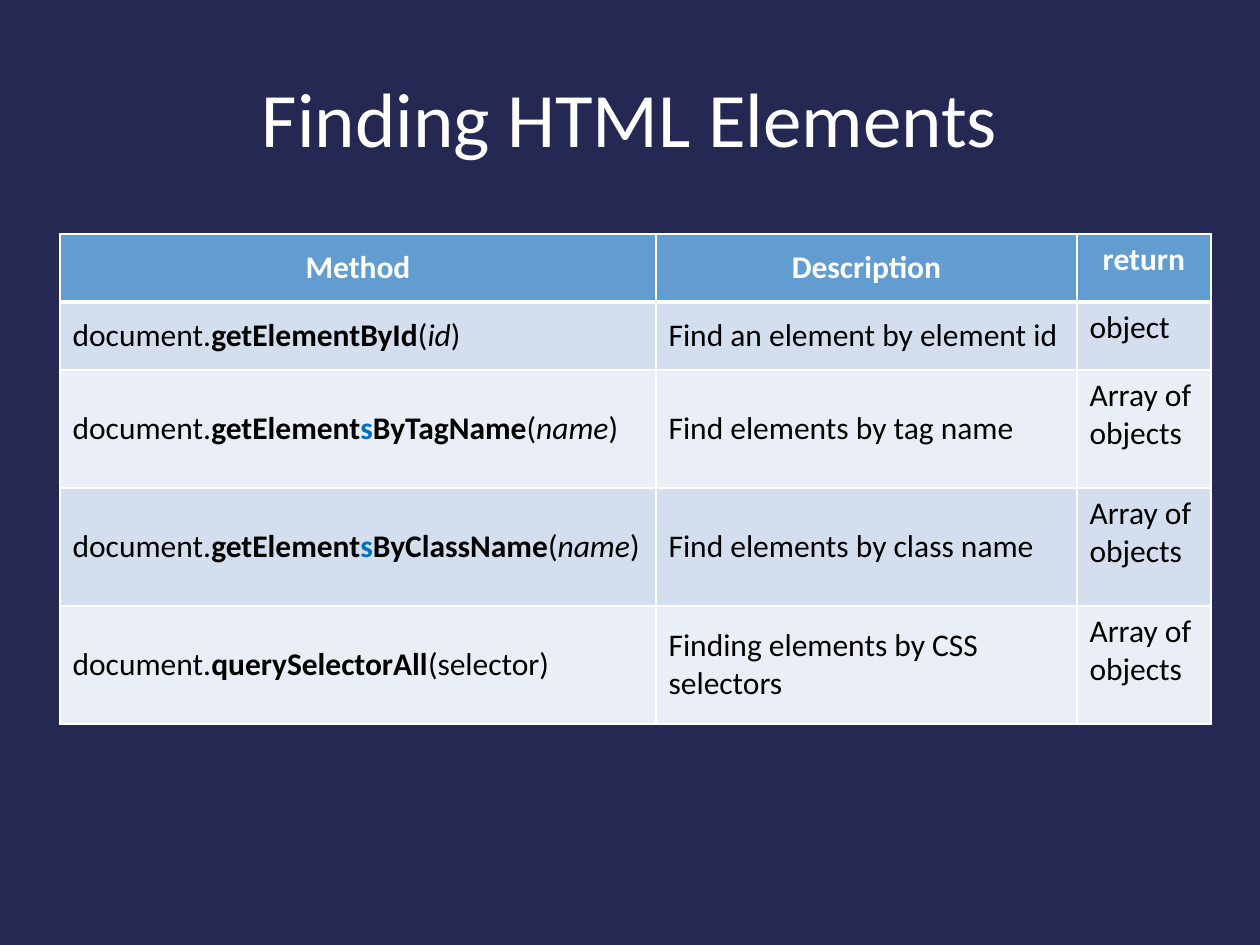
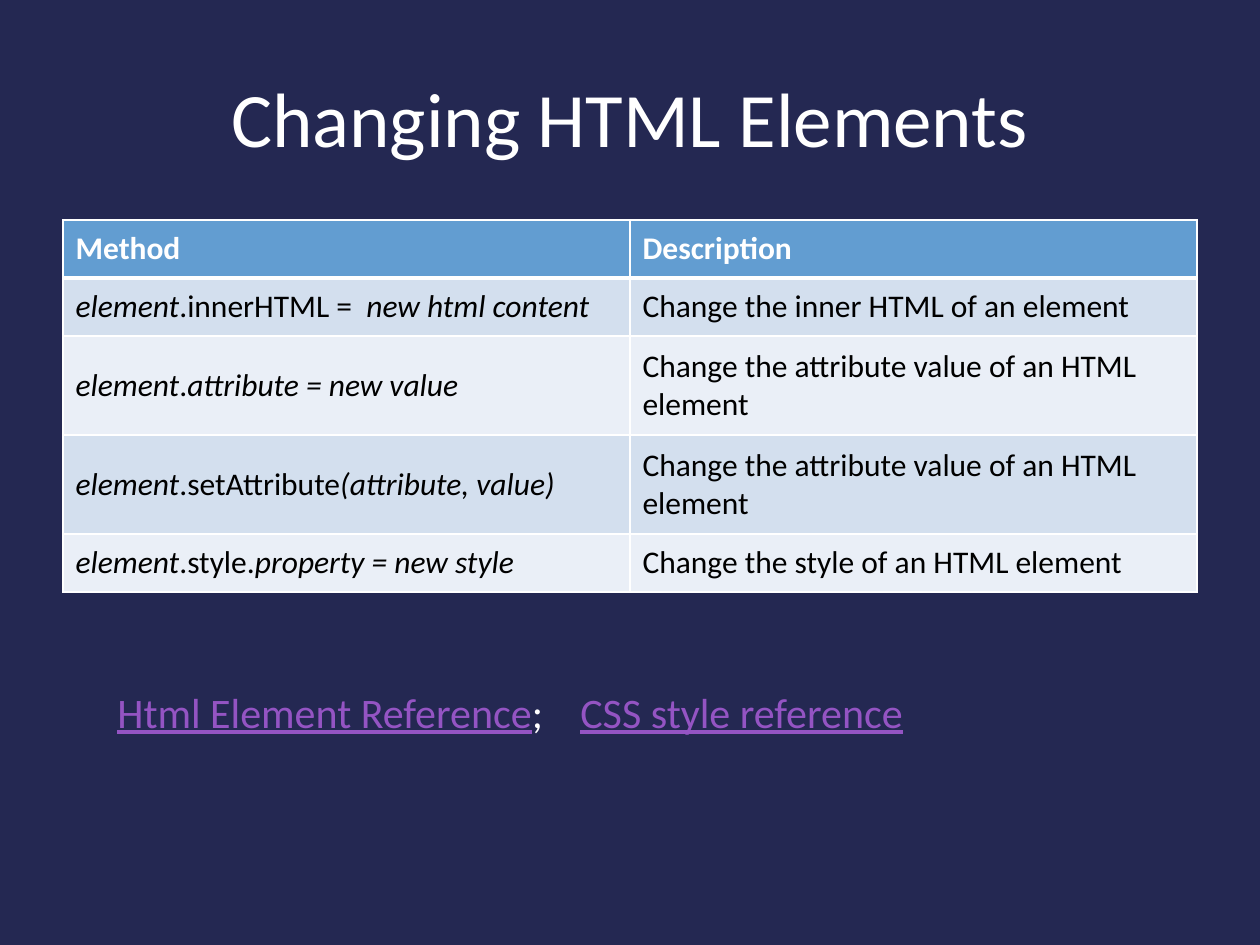
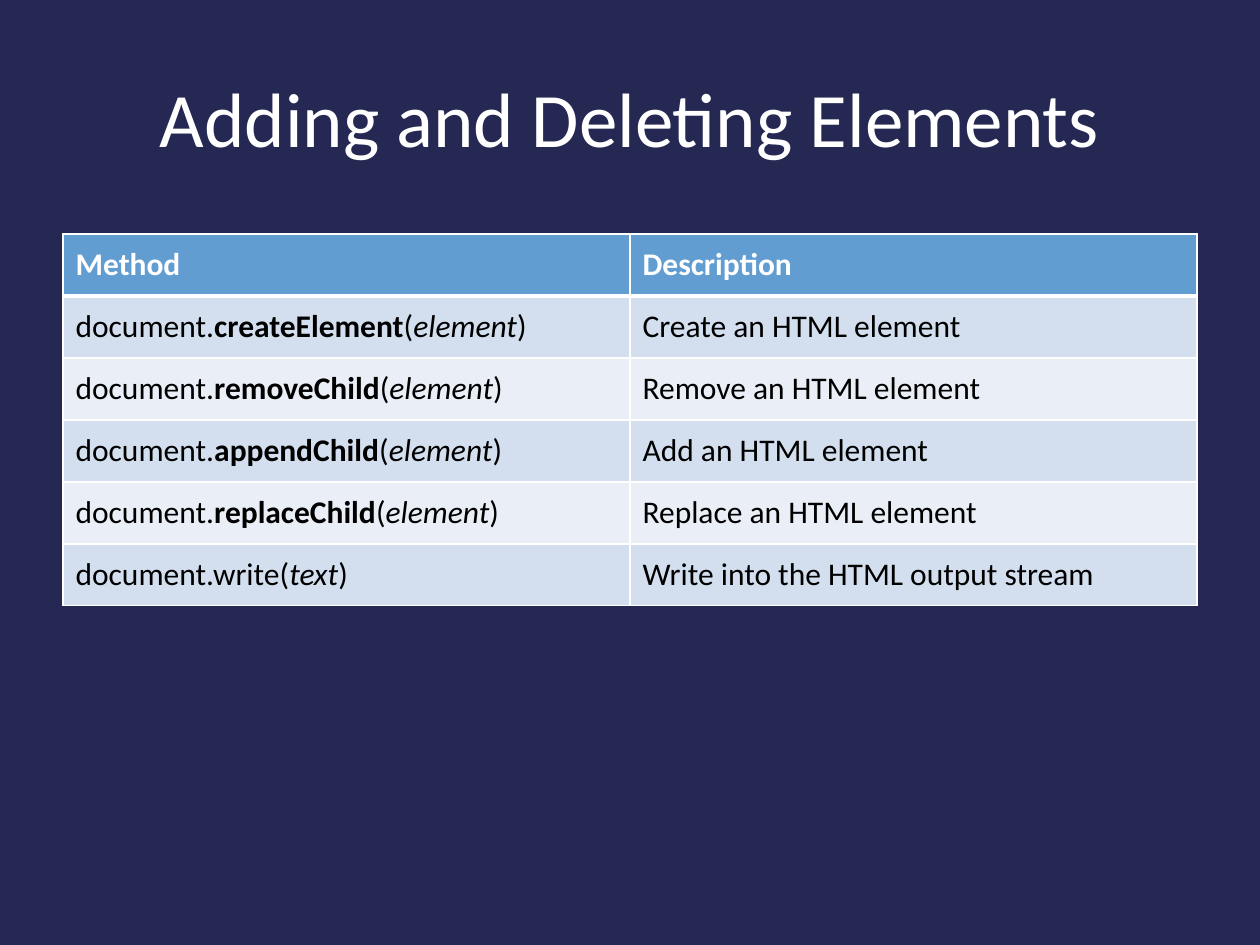
import pptx
import pptx.dml.color
import pptx.enum.text
import pptx.oxml
import pptx.oxml.ns
import pptx.util

RGBColor = pptx.dml.color.RGBColor
Anchor = pptx.enum.text.MSO_ANCHOR
Align = pptx.enum.text.PP_ALIGN

NAVY = RGBColor(0x24, 0x28, 0x52)
WHITE = RGBColor(0xFF, 0xFF, 0xFF)
BLACK = RGBColor(0x00, 0x00, 0x00)
HEADER_BLUE = RGBColor(0x62, 0x9D, 0xD1)
BANDS = (RGBColor(0xD3, 0xDF, 0xEE), RGBColor(0xEA, 0xEF, 0xF7))
PLURAL_BLUE = RGBColor(0x00, 0x70, 0xC0)
LINK_PURPLE = RGBColor(0x94, 0x54, 0xC3)

FONT = "Calibri"
EMU_PER_PX = 914400 / 126
SLIDE_SIZE = (1260, 945)
TITLE_BOX = (63, 38, 1134, 157)
THIN, THICK = 1, 3

TITLE = {"size": 44, "bold": False, "color": WHITE}
HEADER = {"size": 18, "bold": True, "color": WHITE}
BODY = {"size": 18, "bold": False, "color": BLACK}
REFERENCE = {"size": 24, "color": WHITE}
BOLD = {"bold": True}
ITALIC = {"italic": True}
PLURAL = {"bold": True, "color": PLURAL_BLUE}
LINK = {"underline": True, "color": LINK_PURPLE}


def call(method, argument):
    return ["document.", (method, BOLD), "(", (argument, ITALIC), ")"]


def plural_call(suffix):
    return ["document.", ("getElement", BOLD), ("s", PLURAL), (suffix, BOLD),
            "(", ("name", ITALIC), ")"]


def element_member(member, rest):
    return [("element", ITALIC), member, (rest, ITALIC)]


# A cell is a string or a list of runs; a run is a string or (text, style).
SLIDES = [
    {
        "title": "Finding HTML Elements",
        "origin": (60, 234),
        "columns": [596, 421, 134],
        "row_heights": [68, 68, 118, 118, 118],
        "header_align": Align.CENTER,
        "rows": [
            ["Method", "Description", "return"],
            [call("getElementById", "id"), "Find an element by element id", "object"],
            [plural_call("ByTagName"), "Find elements by tag name", "Array of objects"],
            [plural_call("ByClassName"), "Find elements by class name", "Array of objects"],
            [["document.", ("querySelectorAll", BOLD), "(selector)"],
             "Finding elements by CSS selectors", "Array of objects"],
        ],
    },
    {
        "title": "Changing HTML Elements",
        "origin": (63, 220),
        "columns": [567, 567],
        "row_heights": [58, 58, 99, 99, 58],
        "header_align": Align.LEFT,
        "rows": [
            ["Method", "Description"],
            [element_member(".innerHTML =  ", "new html content"),
             "Change the inner HTML of an element"],
            [element_member(".", "attribute = new value"),
             "Change the attribute value of an HTML element"],
            [element_member(".setAttribute", "(attribute, value)"),
             "Change the attribute value of an HTML element"],
            [element_member(".style.", "property = new style"),
             "Change the style of an HTML element"],
        ],
        "references": {
            "box": (105, 680, 819, 63),
            "tab": 463,
            "runs": [("Html Element Reference", LINK), ";\t",
                     ("CSS style reference", LINK)],
        },
    },
    {
        "title": "Adding and Deleting Elements",
        "origin": (63, 234),
        "columns": [567, 567],
        "row_heights": [62] * 6,
        "header_align": Align.LEFT,
        "rows": [
            ["Method", "Description"],
            [call("createElement", "element"), "Create an HTML element"],
            [call("removeChild", "element"), "Remove an HTML element"],
            [call("appendChild", "element"), "Add an HTML element"],
            [call("replaceChild", "element"), "Replace an HTML element"],
            [["document.write(", ("text", ITALIC), ")"],
             "Write into the HTML output stream"],
        ],
    },
]


def px(length):
    return pptx.util.Emu(round(length * EMU_PER_PX))


def write(paragraph, content, base, align=Align.LEFT):
    paragraph.alignment = align
    for part in [content] if isinstance(content, str) else content:
        text, style = (part, {}) if isinstance(part, str) else part
        run = paragraph.add_run()
        run.text = text
        values = {"name": FONT, **base, **style}
        run.font.color.rgb = values.pop("color")
        values["size"] = pptx.util.Pt(values["size"])
        for name, value in values.items():
            setattr(run.font, name, value)


def set_borders(cell, top, bottom):
    """Draw white cell borders; top and bottom widths are in points."""
    properties = cell._tc.get_or_add_tcPr()
    for side, width in {"L": THIN, "R": THIN, "T": top, "B": bottom}.items():
        properties.append(pptx.oxml.parse_xml(
            f'<a:ln{side} {pptx.oxml.ns.nsdecls("a")} w="{pptx.util.Pt(width)}">'
            f'<a:solidFill><a:srgbClr val="{WHITE}"/></a:solidFill></a:ln{side}>'))


def add_title(slide, text):
    title = slide.shapes.title
    title.left, title.top, title.width, title.height = map(px, TITLE_BOX)
    title.text_frame.vertical_anchor = Anchor.MIDDLE
    write(title.text_frame.paragraphs[0], text, TITLE, Align.CENTER)


def add_methods(slide, content):
    rows, columns, heights = (content[key] for key in ("rows", "columns", "row_heights"))
    box = (*content["origin"], sum(columns), sum(heights))
    table = slide.shapes.add_table(len(rows), len(columns), *map(px, box)).table
    for column, width in zip(table.columns, columns):
        column.width = px(width)
    for r, (row, height) in enumerate(zip(rows, heights)):
        table.rows[r].height = px(height)
        is_header = r == 0
        for c, text in enumerate(row):
            cell = table.cell(r, c)
            # The third column, the return value, sits at the top of its row.
            cell.vertical_anchor = Anchor.TOP if c == 2 else Anchor.MIDDLE
            set_borders(cell, THICK if r == 1 else THIN, THICK if is_header else THIN)
            cell.fill.solid()
            cell.fill.fore_color.rgb = HEADER_BLUE if is_header else BANDS[(r - 1) % 2]
            write(cell.text_frame.paragraphs[0], text, HEADER if is_header else BODY,
                  content["header_align"] if is_header else Align.LEFT)


def add_references(slide, references):
    frame = slide.shapes.add_textbox(*map(px, references["box"])).text_frame
    frame.word_wrap = True
    frame.auto_size = pptx.enum.text.MSO_AUTO_SIZE.SHAPE_TO_FIT_TEXT
    line = frame.paragraphs[0]
    write(line, references["runs"], REFERENCE)
    line._p.get_or_add_pPr().append(pptx.oxml.parse_xml(
        f'<a:tabLst {pptx.oxml.ns.nsdecls("a")}>'
        f'<a:tab pos="{px(references["tab"])}" algn="l"/></a:tabLst>'))


def main():
    deck = pptx.Presentation()
    deck.slide_width, deck.slide_height = map(px, SLIDE_SIZE)
    background = deck.slide_master.background.fill
    background.solid()
    background.fore_color.rgb = NAVY
    title_only = deck.slide_layouts.get_by_name("Title Only")
    for content in SLIDES:
        slide = deck.slides.add_slide(title_only)
        add_title(slide, content["title"])
        add_methods(slide, content)
        if "references" in content:
            add_references(slide, content["references"])
    deck.save("out.pptx")


if __name__ == "__main__":
    main()
